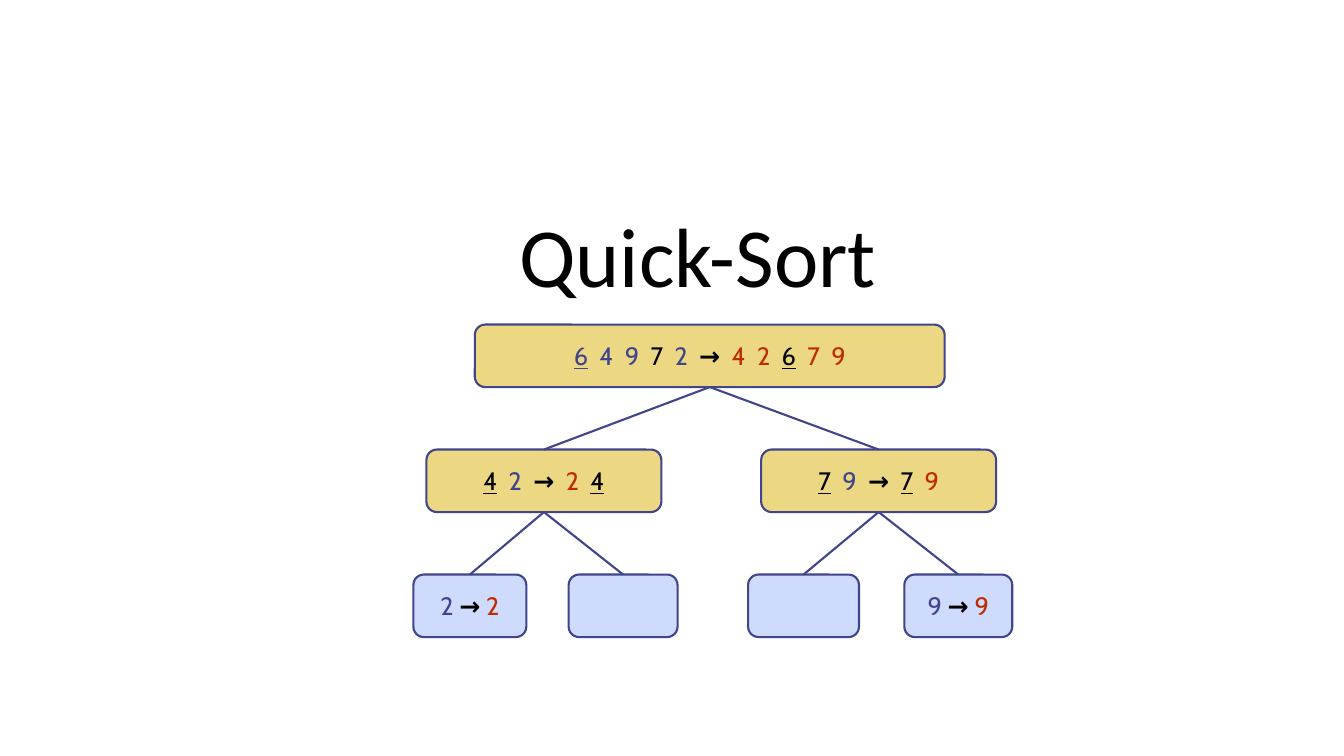
from dataclasses import dataclass

from lxml import etree
from pptx import Presentation
from pptx.dml.color import RGBColor
from pptx.enum.shapes import MSO_CONNECTOR, MSO_SHAPE
from pptx.enum.text import MSO_ANCHOR, MSO_AUTO_SIZE, PP_ALIGN
from pptx.oxml.ns import qn
from pptx.util import Inches, Pt

ROUNDED = MSO_SHAPE.ROUNDED_RECTANGLE
STRAIGHT = MSO_CONNECTOR.STRAIGHT
CENTER = PP_ALIGN.CENTER
MIDDLE = MSO_ANCHOR.MIDDLE
BOTTOM = MSO_ANCHOR.BOTTOM
NO_AUTOFIT = MSO_AUTO_SIZE.NONE
TOP_SITE, BOTTOM_SITE = 0, 2


@dataclass(frozen=True)
class Theme:
    black: RGBColor = RGBColor(0x00, 0x00, 0x00)
    blue: RGBColor = RGBColor(0x40, 0x45, 0x8C)
    red: RGBColor = RGBColor(0xBE, 0x2D, 0x00)
    split_fill: RGBColor = RGBColor(0xEC, 0xD8, 0x82)
    leaf_fill: RGBColor = RGBColor(0xCF, 0xDB, 0xFD)
    title_font: str = "Calibri"
    node_font: str = "Cabin"
    title_size: Pt = Pt(60)
    node_size: Pt = Pt(18)
    line_width: Pt = Pt(1.5)


THEME = Theme()
BLACK, BLUE, RED = THEME.black, THEME.blue, THEME.red

NODE_HEIGHT = 0.62
LEVEL_TOPS = (3.22, 4.46, 5.7)

NODES = {
    "root": (0, 4.71, 4.66, [
        ("6", BLUE, "u"), ("  4  9  ", BLUE, ""), ("7", BLACK, ""),
        ("  2  ", BLUE, ""), ("→  ", BLACK, "b"), ("4  2  ", RED, ""),
        ("6", BLACK, "u"), ("  7  9", RED, "")]),
    "low": (1, 4.23, 2.33, [
        ("4", BLACK, "u"), ("  2  ", BLUE, ""), ("→  ", BLACK, "b"),
        ("2  ", RED, ""), ("4", BLACK, "u")]),
    "high": (1, 7.55, 2.33, [
        ("7", BLACK, "u"), ("  9  ", BLUE, ""), ("→  ", BLACK, "b"),
        ("7", BLACK, "u"), ("  9", RED, "")]),
    "two": (2, 4.1, 1.12, [
        ("2 ", BLUE, ""), ("→ ", BLACK, "b"), ("2", RED, "")]),
    "low empty": (2, 5.64, 1.08, []),
    "high empty": (2, 7.42, 1.1, []),
    "nine": (2, 8.97, 1.07, [
        ("9 ", BLUE, ""), ("→ ", BLACK, "b"), ("9", RED, "")]),
}

CHILDREN = {
    "root": ("low", "high"),
    "low": ("two", "low empty"),
    "high": ("high empty", "nine"),
}


class TreeSlide:
    def __init__(self, presentation, theme):
        self.theme = theme
        self.slide = presentation.slides.add_slide(presentation.slide_layouts[5])

    def title(self, text, left, top, width, height):
        title = self.slide.shapes.title
        title.left, title.top = Inches(left), Inches(top)
        title.width, title.height = Inches(width), Inches(height)
        frame = title.text_frame
        frame.text = text
        frame.auto_size = NO_AUTOFIT
        frame.vertical_anchor = BOTTOM
        paragraph = frame.paragraphs[0]
        paragraph.alignment = CENTER
        paragraph.line_spacing = 0.9
        paragraph.font.name = self.theme.title_font
        paragraph.font.size = self.theme.title_size
        paragraph.font.color.rgb = self.theme.black

    def node(self, level, left, width, runs):
        is_leaf = level == len(LEVEL_TOPS) - 1
        shape = self.slide.shapes.add_shape(
            ROUNDED, Inches(left), Inches(LEVEL_TOPS[level]),
            Inches(width), Inches(NODE_HEIGHT))
        shape.shadow.inherit = False
        shape.fill.solid()
        shape.fill.fore_color.rgb = (
            self.theme.leaf_fill if is_leaf else self.theme.split_fill)
        self.outline(shape)
        frame = shape.text_frame
        frame.word_wrap = False
        frame.vertical_anchor = MIDDLE
        paragraph = frame.paragraphs[0]
        paragraph.alignment = CENTER
        paragraph.font.name = self.theme.node_font
        paragraph.font.size = self.theme.node_size
        for text, color, marks in runs:
            run = paragraph.add_run()
            run.text = text
            run.font.color.rgb = color
            run.font.bold = "b" in marks
            run.font.underline = "u" in marks
        return shape

    def branch(self, parent, child):
        connector = self.slide.shapes.add_connector(STRAIGHT, 0, 0, 0, 0)
        connector.begin_connect(parent, BOTTOM_SITE)
        connector.end_connect(child, TOP_SITE)
        self.outline(connector)
        etree.SubElement(connector._element.spPr, qn("a:effectLst"))

    def outline(self, shape):
        shape.line.color.rgb = self.theme.blue
        shape.line.width = self.theme.line_width


def main():
    presentation = Presentation()
    presentation.slide_width = Inches(13.33)
    presentation.slide_height = Inches(7.5)
    tree = TreeSlide(presentation, THEME)
    tree.title("Quick-Sort", 2.67, 1.83, 8.5, 1.25)
    shapes = {name: tree.node(*node) for name, node in NODES.items()}
    for parent, children in CHILDREN.items():
        for child in children:
            tree.branch(shapes[parent], shapes[child])
    presentation.save("out.pptx")


if __name__ == "__main__":
    main()
